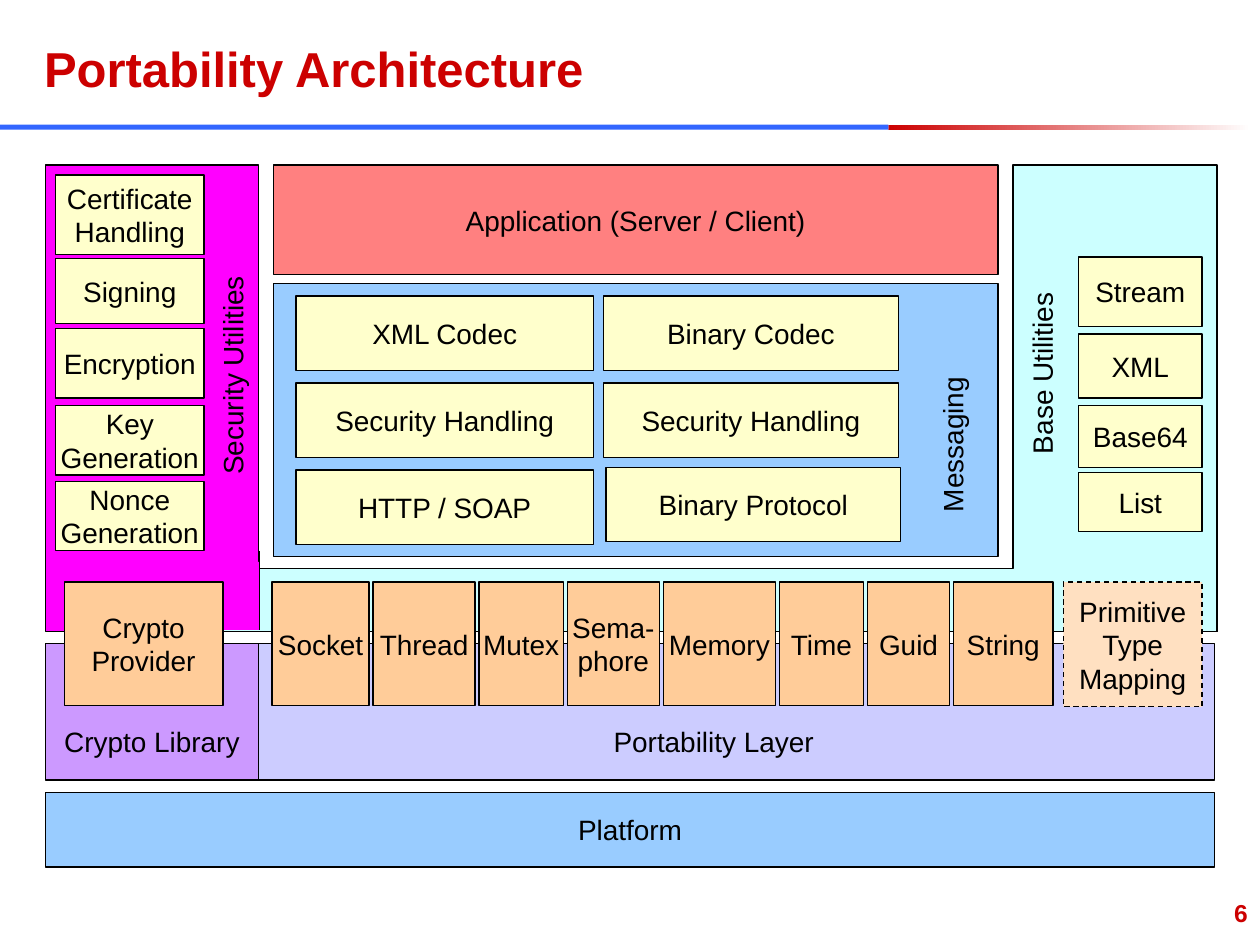
from lxml import etree
from pptx import Presentation
from pptx.dml.color import RGBColor
from pptx.enum.dml import MSO_LINE
from pptx.enum.shapes import MSO_CONNECTOR, MSO_SHAPE
from pptx.enum.text import MSO_ANCHOR, PP_ALIGN
from pptx.oxml.ns import qn
from pptx.util import Inches, Pt

RECT = MSO_SHAPE.RECTANGLE
STRAIGHT = MSO_CONNECTOR.STRAIGHT
DASH = MSO_LINE.DASH
TOP, MIDDLE = MSO_ANCHOR.TOP, MSO_ANCHOR.MIDDLE
LEFT, MID, RIGHT = PP_ALIGN.LEFT, PP_ALIGN.CENTER, PP_ALIGN.RIGHT

COLS, ROWS = 100, 75
CELL = Inches(0.1)
FONT = "Arial"
COLORS = {
    "black": "000000", "white": "FFFFFF", "red": "CC0000", "blue": "3366FF",
    "pink": "FF00FF", "aqua": "CCFFFF", "sky": "99CCFF", "coral": "FF8080",
    "lilac": "CCCCFF", "purple": "CC99FF", "cream": "FFFFCC",
    "peach": "FFCC99", "pale": "FFE0C1",
}

SECURITY = [("Certificate Handling", 13.9, 6.3), ("Signing", 20.5, 5.2),
            ("Encryption", 26.1, 5.5), ("Key Generation", 32.2, 5.5),
            ("Nonce Generation", 38.2, 5.5)]
BASE = [("Stream", 20.4, 5.5), ("XML", 26.5, 5.1), ("Base64", 32.2, 4.9),
        ("List", 37.5, 4.7)]
CODECS = [("XML Codec", "Binary Codec"),
          ("Security Handling", "Security Handling"),
          ("HTTP / SOAP", "Binary Protocol")]
PORTS = [("Socket", 7.7), ("Thread", 8.1), ("Mutex", 6.7),
         ("Sema-\nphore", 7.3), ("Memory", 8.9), ("Time", 6.7),
         ("Guid", 6.5), ("String", 7.9)]


def grid(*cells):
    """Turn grid cells into lengths."""
    return [round(cell * CELL) for cell in cells]


def color(name):
    """Look up a colour."""
    return RGBColor.from_string(COLORS[name])


def write(frame, text, size=16, tone="black", bold=False, align=LEFT,
          anchor=TOP, side=0):
    """Write each line of text as a paragraph with one run."""
    frame.word_wrap = True
    frame.vertical_anchor = anchor
    frame.margin_left = frame.margin_right = Inches(side)
    frame.margin_top = frame.margin_bottom = Inches(0.05)
    for i, line in enumerate(text.split("\n")):
        para = frame.add_paragraph() if i else frame.paragraphs[0]
        para.alignment = align
        run = para.add_run()
        run.text = line
        run.font.name = FONT
        run.font.size = Pt(size)
        run.font.bold = bold
        run.font.color.rgb = color(tone)


def paint(shape, fill, edge=True):
    """Give a shape a flat fill and a thin black line or none."""
    shape.shadow.inherit = False
    shape.fill.solid()
    shape.fill.fore_color.rgb = color(fill)
    if edge:
        shape.line.color.rgb = color("black")
        shape.line.width = Pt(0.75)
    else:
        shape.line.fill.background()


def box(shapes, area, fill, text="", edge=True):
    """Add a rectangle with centred text."""
    shape = shapes.add_shape(RECT, *grid(*area))
    paint(shape, fill, edge)
    if text:
        write(shape.text_frame, text, align=MID, anchor=MIDDLE)
    return shape


def panel(shapes, points, fill):
    """Add a closed outline."""
    first, *rest = [grid(*point) for point in points]
    pen = shapes.build_freeform(*first, scale=1.0)
    pen.add_line_segments(rest, close=True)
    paint(pen.convert_to_shape(), fill)


def label(shapes, area, text, turn=0, **style):
    """Add a text box, turned if asked."""
    shape = shapes.add_textbox(*grid(*area))
    shape.rotation = turn
    write(shape.text_frame, text, **style)


def rule(shapes, start, end):
    """Add a thin black line."""
    line = shapes.add_connector(STRAIGHT, *grid(*start, *end))
    line.line.color.rgb = color("black")
    line.line.width = Pt(0.75)
    etree.SubElement(line._element.spPr, qn("a:effectLst"))


def header(slide):
    """Set the title and the two-part bar below it."""
    fade = box(slide.shapes, (70.5, 9.9, 28.8, 0.4), "red", edge=False)
    fade.fill.gradient()
    fade.fill.gradient_angle = 0
    for stop, tone in zip(fade.fill.gradient_stops, ("red", "white")):
        stop.color.rgb = color(tone)
    box(slide.shapes, (0, 9.9, 70.5, 0.4), "blue", edge=False)
    title = slide.shapes.title
    title.left, title.top, title.width, title.height = grid(2.5, 2.5, 68.3, 5.8)
    write(title.text_frame, "Portability Architecture", 28, "red", True,
          anchor=MIDDLE, side=0.1)


def panels(shapes):
    """Draw the large areas behind the parts."""
    panel(shapes, [(3.6, 13.1), (3.6, 50.1), (96.6, 50.1), (96.6, 45.1),
                   (20.5, 45.1), (20.5, 13.1)], "pink")
    box(shapes, (16.9, 51.1, 79.5, 10.8), "lilac")
    panel(shapes, [(96.6, 13.1), (96.6, 50.1), (7.5, 50.1), (7.5, 45.1),
                   (80.4, 45.1), (80.4, 13.1)], "aqua")
    box(shapes, (21.7, 22.5, 57.5, 21.7), "sky")
    box(shapes, (3.6, 62.9, 92.8, 5.9), "sky", "Platform")
    box(shapes, (21.7, 13.1, 57.5, 8.7), "coral", "Application (Server / Client)")
    box(shapes, (3.6, 51.1, 16.9, 10.8), "purple")
    cover = shapes.add_group_shape().shapes
    box(cover, (5.1, 44.6, 15.5, 5.4), "pink", edge=False)
    rule(cover, (20.6, 43.7), (20.6, 50))


def stack(shapes, left, width, parts):
    """Draw a column of parts."""
    for name, top, height in parts:
        box(shapes, (left, top, width, height), "cream", name)


def codecs(shapes):
    """Draw the two columns of messaging parts."""
    for i, pair in enumerate(CODECS):
        top = 23.5 + 6.9 * i
        nudge = 0.2 if i == len(CODECS) - 1 else 0
        box(shapes, (23.5, top, 23.6, 5.9), "cream", pair[0])
        box(shapes, (47.9 + nudge, top - nudge, 23.4, 5.9), "cream", pair[1])


def ports(shapes):
    """Draw the row of parts that bridge both layers."""
    box(shapes, (5.1, 46.2, 12.6, 9.8), "peach", "Crypto\nProvider")
    left = 21.6
    for name, width in PORTS:
        box(shapes, (left, 46.2, width, 9.8), "peach", name)
        left += width + 0.31
    last = box(shapes, (84.4, 46.2, 11, 9.9), "pale", "Primitive\nType\nMapping")
    last.line.dash_style = DASH


def main():
    """Build the slide and save it."""
    deck = Presentation()
    deck.slide_width, deck.slide_height = grid(COLS, ROWS)
    slide = deck.slides.add_slide(deck.slide_layouts[5])
    shapes = slide.shapes
    header(slide)
    panels(shapes)
    stack(shapes, 4.4, 11.8, SECURITY)
    stack(shapes, 85.6, 9.8, BASE)
    codecs(shapes)
    ports(shapes)
    label(shapes, (67.8, 30.8, 15.8, 3.9), "Messaging", 270)
    label(shapes, (71.2, 23.1, 23.2, 3.9), " Base Utilities", 270)
    label(shapes, (8.3, 26.1, 20.5, 3.9), " Security Utilities", 270)
    label(shapes, (48.7, 57, 25.7, 3.9), "Portability Layer")
    label(shapes, (5.1, 57, 14.9, 3.9), "Crypto Library")
    label(shapes, (79.2, 70.8, 20.8, 4.2), "6", size=14, tone="red", bold=True,
          align=RIGHT, side=0.1)
    deck.save("out.pptx")


if __name__ == "__main__":
    main()
